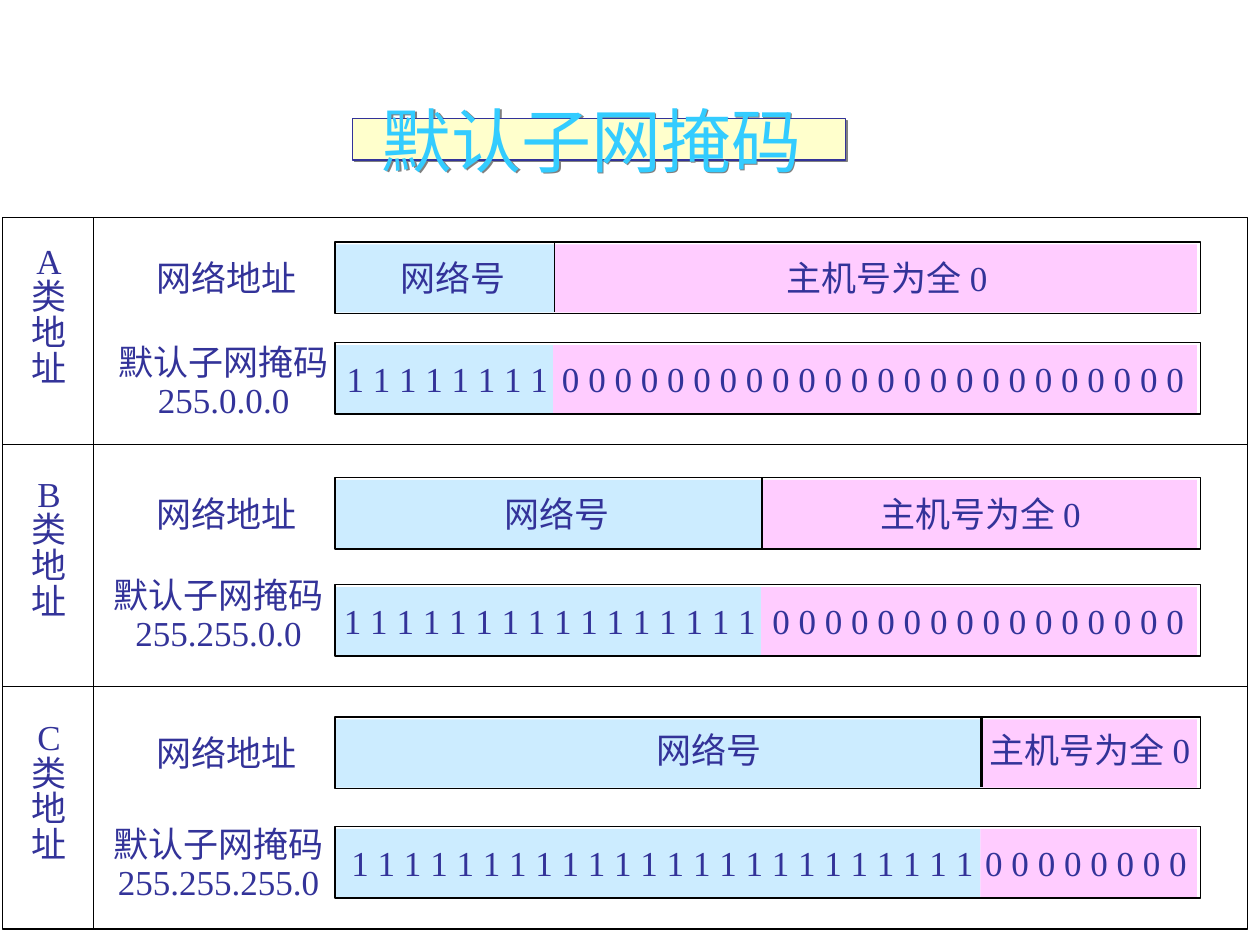
from collections import namedtuple

from lxml import etree
from pptx import Presentation
from pptx.dml.color import RGBColor
from pptx.enum.shapes import MSO_CONNECTOR, MSO_SHAPE
from pptx.enum.text import MSO_ANCHOR, MSO_AUTO_SIZE, PP_ALIGN
from pptx.oxml.ns import qn
from pptx.util import Pt

RECT = MSO_SHAPE.RECTANGLE
LINE = MSO_CONNECTOR.STRAIGHT
CENTER = PP_ALIGN.CENTER
MIDDLE = MSO_ANCHOR.MIDDLE
FIXED = MSO_AUTO_SIZE.NONE
GROW = MSO_AUTO_SIZE.SHAPE_TO_FIT_TEXT

BLACK = RGBColor(0x00, 0x00, 0x00)
NAVY = RGBColor(0x33, 0x33, 0x99)
SKY = RGBColor(0x33, 0xCC, 0xFF)
CREAM = RGBColor(0xFF, 0xFF, 0xCC)
BLUE = RGBColor(0xCC, 0xEC, 0xFF)
PINK = RGBColor(0xFF, 0xCC, 0xFF)
GRAY = "808080"

# Bars share one left edge and one size
LEFT, WIDE, HIGH = 191.5, 494.5, 41
END = 684  # right edge of the pink fill
ROW = 31   # height of one line of text

# Outer frame
X, Y, W, H = 1.44, 124.5, 711.4, 406.5

# Tops of the parts, split between fields, centres of the four bar texts
Group = namedtuple("Group", "name mask ones side net bar tip tip_x split "
                            "net_x host_x one_x zero_x lift rule")
GROUPS = [
    Group("A", "255.0.0.0", 8, 136.8, 138.2, 195.8, 193.7, 127.8, 316.8,
          258.8, 506.9, 255.6, 499, 0, 0.75),
    Group("B", "255.255.0.0", 16, 270, 272.9, 334.1, 326.9, 124.9, 435.6,
          318.6, 560.2, 314.3, 559.1, 0, 1),
    Group("C", "255.255.255.0", 24, 409, 409.7, 472.3, 469.4, 124.9, 560.9,
          405, 622.8, 378.7, 620.6, 2, 1.5),
]


def add_box(slide, x, y, w, h, fill=None, line=None):
    box = slide.shapes.add_shape(RECT, Pt(x), Pt(y), Pt(w), Pt(h))
    box.shadow.inherit = False
    if fill is None:
        box.fill.background()
    else:
        box.fill.solid()
        box.fill.fore_color.rgb = fill
    if line is None:
        box.line.fill.background()
    else:
        box.line.color.rgb = BLACK
        box.line.width = Pt(line)


def add_line(slide, x1, y1, x2, y2, width):
    line = slide.shapes.add_connector(LINE, Pt(x1), Pt(y1), Pt(x2), Pt(y2))
    line.line.color.rgb = BLACK
    line.line.width = Pt(width)
    etree.SubElement(line._element.spPr, qn("a:effectLst"))


def add_text(slide, text, mid, y, w, h=ROW, space=None):
    """Put centred text around the x position mid."""
    box = slide.shapes.add_textbox(Pt(mid - w / 2), Pt(y), Pt(w), Pt(h))
    frame = box.text_frame
    frame.word_wrap = False
    frame.auto_size = GROW
    frame.text = text
    for para in frame.paragraphs:
        para.alignment = CENTER
        if space:
            para.line_spacing = space
        for run in para.runs:
            run.font.size = Pt(20)
            run.font.name = "Times New Roman"
            run.font.color.rgb = NAVY


def make_shade():
    shade = etree.Element(qn("a:effectLst"))
    outer = etree.SubElement(shade, qn("a:outerShdw"), dist=str(Pt(1.4)),
                             dir="2700000", algn="ctr", rotWithShape="0")
    etree.SubElement(outer, qn("a:srgbClr"), val=GRAY)
    return shade


def set_title(slide, text):
    title = slide.shapes.title
    title.left, title.top = Pt(201.6), Pt(67.7)
    title.width, title.height = Pt(281.5), Pt(23.8)
    title.fill.solid()
    title.fill.fore_color.rgb = CREAM
    title.line.color.rgb = NAVY
    title.line.width = Pt(0.75)
    title._element.spPr.append(make_shade())

    frame = title.text_frame
    frame.text = text
    frame.auto_size = FIXED
    frame.vertical_anchor = MIDDLE
    para = frame.paragraphs[0]
    para.alignment = CENTER
    run = para.runs[0]
    run.font.size = Pt(40)
    run.font.name = "Arial"
    run.font.color.rgb = SKY
    # The letters carry the same shadow as the box
    run._r.rPr.find(qn("a:solidFill")).addnext(make_shade())


def add_bar(slide, y, split, left, right, lift=0):
    """Draw a two-part bar; left and right are (text, centre, width)."""
    add_box(slide, LEFT, y + 1.4, split - LEFT, 39, BLUE)
    add_box(slide, split, y + 1.4, END - split, 39, PINK)
    add_box(slide, LEFT, y, WIDE, HIGH, line=1)
    for text, mid, width in (left, right):
        add_text(slide, text, mid, y + (HIGH - ROW) / 2 - lift, width)


def add_bits(digit, count, mid):
    """Return spaced digits with their centre and a width that holds them."""
    return " ".join(digit * count), mid, 12 + 15 * count


def add_group(slide, item):
    # Labels
    add_text(slide, "\n".join(item.name + "类地址"), 28, item.side, 36, 89.3, 0.85)
    add_text(slide, "网络地址", 129.6, item.net + 5, 97)
    add_text(slide, "默认子网掩码\n" + item.mask, item.tip_x, item.tip,
             137, 50.4, 0.9)

    # Network address
    add_bar(slide, item.net, item.split, ("网络号", item.net_x, 77),
            ("主机号为全 0", item.host_x, 137), item.lift)
    add_line(slide, item.split, item.net, item.split, item.net + 40, item.rule)

    # Default mask, 32 bits
    add_bar(slide, item.bar, item.split - 0.7,
            add_bits("1", item.ones, item.one_x),
            add_bits("0", 32 - item.ones, item.zero_x))


def main():
    deck = Presentation()
    deck.slide_width, deck.slide_height = Pt(720), Pt(540)
    slide = deck.slides.add_slide(deck.slide_layouts[5])
    set_title(slide, "默认子网掩码 ")

    # Frame with its dividers
    add_box(slide, X, Y, W, H, line=0.75)
    for y in (254.2, 392.4):
        add_line(slide, X, y, X + W, y, 0.75)
    add_line(slide, 53.3, Y, 53.3, Y + H, 0.75)

    for item in GROUPS:
        add_group(slide, item)
    deck.save("out.pptx")


if __name__ == "__main__":
    main()
